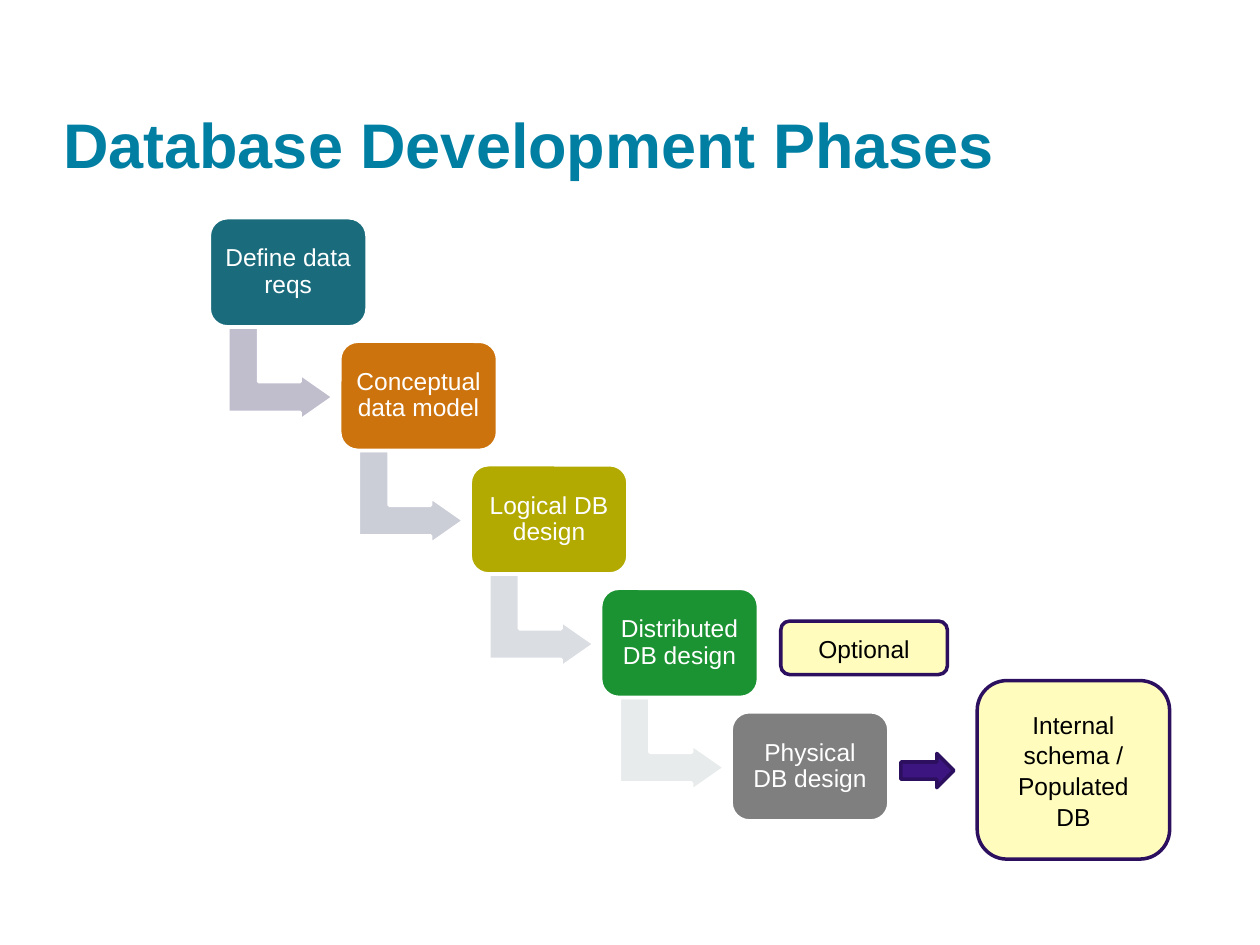
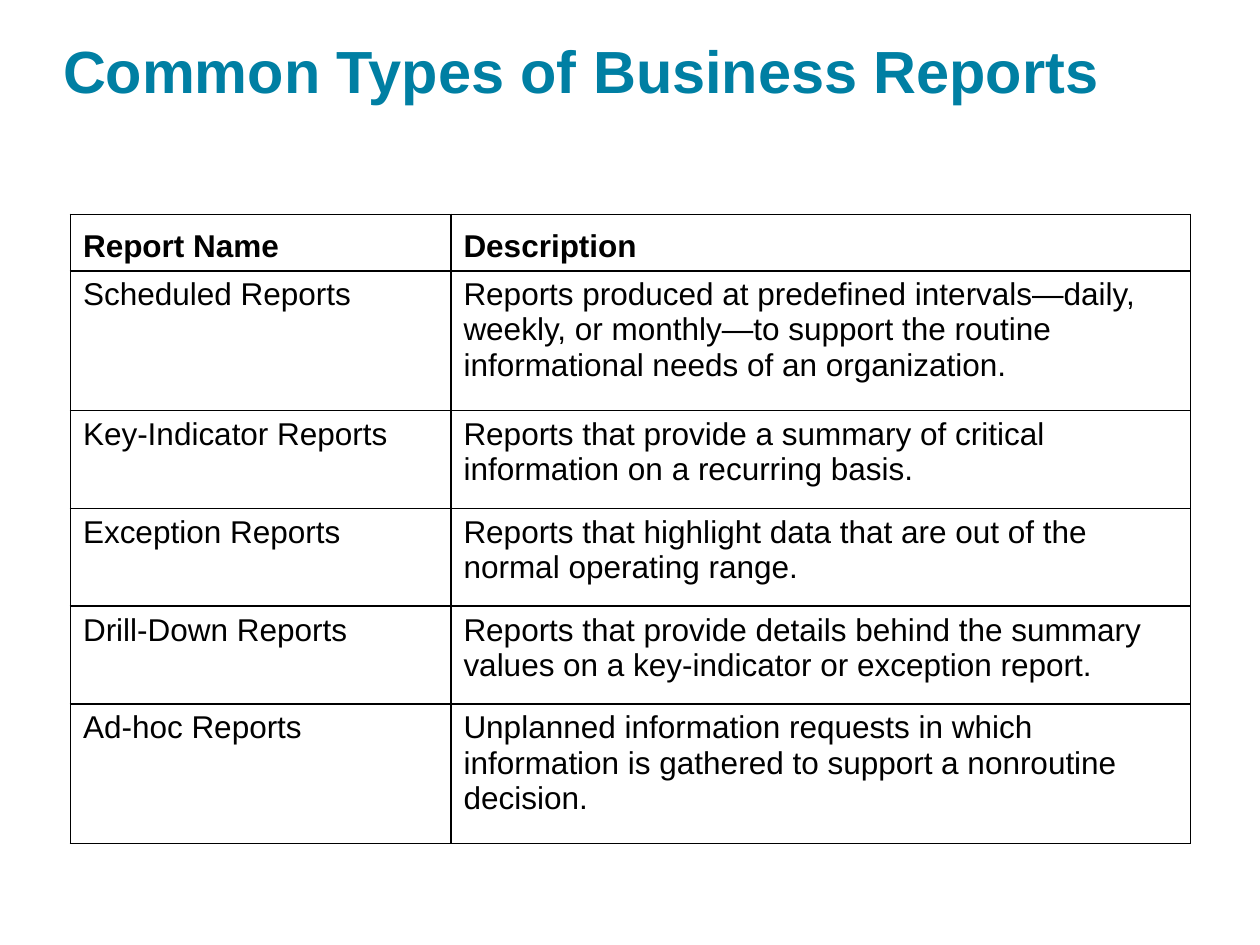
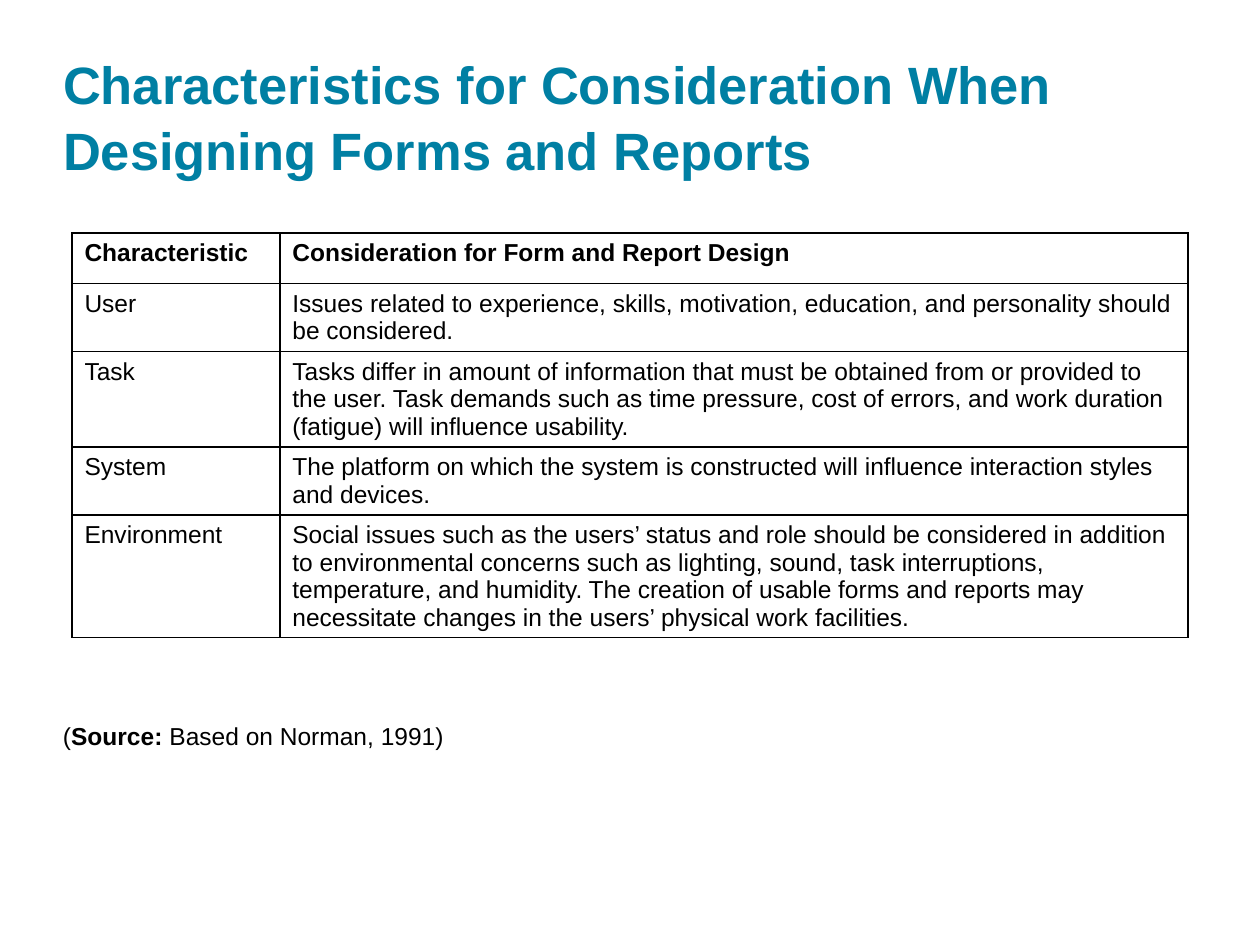
from dataclasses import dataclass

from lxml import etree
from pptx import Presentation
from pptx.dml.color import RGBColor
from pptx.enum.shapes import MSO_SHAPE
from pptx.enum.text import MSO_ANCHOR, PP_ALIGN
from pptx.oxml.ns import qn
from pptx.util import Cm, Pt

ROUNDED = MSO_SHAPE.ROUNDED_RECTANGLE
BENT_ARROW = MSO_SHAPE.BENT_UP_ARROW
RIGHT_ARROW = MSO_SHAPE.RIGHT_ARROW
TOP, MIDDLE, BOTTOM = MSO_ANCHOR.TOP, MSO_ANCHOR.MIDDLE, MSO_ANCHOR.BOTTOM
LEFT, CENTER = PP_ALIGN.LEFT, PP_ALIGN.CENTER


@dataclass(frozen=True)
class Theme:
    font: str = "Arial"
    title: str = "007FA3"
    text: str = "000000"
    white: str = "FFFFFF"
    note_fill: str = "FFFCBD"
    note_line: str = "2C105F"
    arrow: str = "3C1581"
    body_pt: int = 14
    report_pt: int = 18
    outline_pt: int = 2
    spacing: float = 1.05


THEME = Theme()

# Phase, box colour, colour of the arrow to the next phase
PHASES = [
    ("Define data reqs", "1A6C7C", "C0BDCD"),
    ("Conceptual data model", "CC730D", "CBCDD7"),
    ("Logical DB design", "B2AA00", "DADDE2"),
    ("Distributed DB design", "1B9332", "E8EBEC"),
    ("Physical DB design", "7F7F7F", None),
]

# Text, box in cm
NOTES = [
    ("Optional", (15.74, 12.52, 3.36, 1.08)),
    ("Internal schema / Populated DB", (19.7, 13.72, 3.88, 3.6)),
]

REPORTS = [
    ("Report Name", "Description"),
    ("Scheduled Reports",
     "Reports produced at predefined intervals—daily, weekly, or monthly—to support "
     "the routine informational needs of an organization."),
    ("Key-Indicator Reports",
     "Reports that provide a summary of critical information on a recurring basis."),
    ("Exception Reports",
     "Reports that highlight data that are out of the normal operating range."),
    ("Drill-Down Reports",
     "Reports that provide details behind the summary values on a key-indicator or "
     "exception report."),
    ("Ad-hoc Reports",
     "Unplanned information requests in which information is gathered to support a "
     "nonroutine decision."),
]

CHARACTERISTICS = [
    ("Characteristic", "Consideration for Form and Report Design"),
    ("User",
     "Issues related to experience, skills, motivation, education, and personality "
     "should be considered."),
    ("Task",
     "Tasks differ in amount of information that must be obtained from or provided to "
     "the user. Task demands such as time pressure, cost of errors, and work duration "
     "(fatigue) will influence usability."),
    ("System",
     "The platform on which the system is constructed will influence interaction "
     "styles and devices."),
    ("Environment",
     "Social issues such as the users’ status and role should be considered in "
     "addition to environmental concerns such as lighting, sound, task interruptions, "
     "temperature, and humidity. The creation of usable forms and reports may "
     "necessitate changes in the users’ physical work facilities."),
]

SOURCE = [("(", False), ("Source: ", True), ("Based on Norman, 1991)", False)]


def rgb(color):
    return RGBColor.from_string(color)


def write(tf, runs, size, color=THEME.text, align=LEFT, spacing=1.0):
    """Fill the first paragraph with (text, bold) runs."""
    tf.word_wrap = True
    p = tf.paragraphs[0]
    p.alignment = align
    p.line_spacing = spacing
    for text, bold in runs:
        r = p.add_run()
        r.text = text
        r.font.name = THEME.font
        r.font.size = Pt(size)
        r.font.bold = bold
        r.font.color.rgb = rgb(color)


def set_margins(tf, margin):
    tf.margin_left = tf.margin_top = tf.margin_right = tf.margin_bottom = margin


def add_titled_slide(prs, title, size, anchor=BOTTOM, width=22.86):
    slide = prs.slides.add_slide(prs.slide_layouts[5])
    sp = slide.shapes.title
    sp.left, sp.top, sp.width, sp.height = Cm(1.27), Cm(0.61), Cm(width), Cm(3.05)
    tf = sp.text_frame
    set_margins(tf, 0)
    tf.vertical_anchor = anchor
    write(tf, [(title, True)], size, THEME.title, spacing=THEME.spacing)
    return slide


def add_filled(slide, kind, box, fill, line):
    sp = slide.shapes.add_shape(kind, *(Cm(v) for v in box))
    sp.shadow.inherit = False
    sp.fill.solid()
    sp.fill.fore_color.rgb = rgb(fill)
    sp.line.color.rgb = rgb(line)
    sp.line.width = Pt(THEME.outline_pt)
    sp.text_frame.vertical_anchor = MIDDLE
    return sp


def add_borders(cell):
    tc_pr = cell._tc.get_or_add_tcPr()
    for side in ("lnL", "lnR", "lnT", "lnB"):
        ln = etree.SubElement(tc_pr, qn(f"a:{side}"), w=str(Pt(1)))
        fill = etree.SubElement(ln, qn("a:solidFill"))
        etree.SubElement(fill, qn("a:srgbClr"), val=THEME.text)


def add_grid_table(slide, rows, left, top, widths, heights, size, header_anchor):
    frame = slide.shapes.add_table(len(rows), len(widths), Cm(left), Cm(top),
                                   Cm(sum(widths)), Cm(sum(heights)))
    table = frame.table
    table.first_row = table.horz_banding = False
    for column, width in zip(table.columns, widths):
        column.width = Cm(width)
    for i, (texts, height) in enumerate(zip(rows, heights)):
        table.rows[i].height = Cm(height)
        for j, text in enumerate(texts):
            cell = table.cell(i, j)
            add_borders(cell)
            cell.fill.background()
            cell.vertical_anchor = header_anchor if i == 0 else TOP
            write(cell.text_frame, [(text, i == 0)], size)


def build_phases(prs):
    slide = add_titled_slide(prs, "Database Development Phases", 36)
    left, top, step_x, step_y = 4.22, 4.39, 2.63, 2.49
    for i, (phase, fill, arrow_fill) in enumerate(PHASES):
        x, y = left + i * step_x, top + i * step_y
        if arrow_fill:
            arrow = add_filled(slide, BENT_ARROW, (x + 0.5, y + 2.08, 1.88, 2.13),
                               arrow_fill, THEME.white)
            arrow.rotation = 90
            for k, value in enumerate((0.328, 0.25, 0.358)):
                arrow.adjustments[k] = value
        sp = add_filled(slide, ROUNDED, (x, y, 3.18, 2.2), fill, THEME.white)
        set_margins(sp.text_frame, Cm(0.16))
        write(sp.text_frame, [(phase, False)], THEME.body_pt, THEME.white, CENTER, 0.9)

    for text, box in NOTES:
        sp = add_filled(slide, ROUNDED, box, THEME.note_fill, THEME.note_line)
        write(sp.text_frame, [(text, False)], THEME.body_pt, align=CENTER,
              spacing=THEME.spacing)
    add_filled(slide, RIGHT_ARROW, (18.16, 15.19, 1.07, 0.69),
               THEME.arrow, THEME.note_line)


def build_reports(prs):
    slide = add_titled_slide(prs, "Common Types of Business Reports", 34, TOP, 23.52)
    two_lines, three_lines = 1.97, 2.82
    heights = [1.14, three_lines, two_lines, two_lines, two_lines, three_lines]
    add_grid_table(slide, REPORTS, 1.42, 4.32, [7.67, 14.91], heights,
                   THEME.report_pt, BOTTOM)


def build_characteristics(prs):
    slide = add_titled_slide(
        prs, "Characteristics for Consideration When Designing Forms and Reports",
        30, width=23.67)
    add_grid_table(slide, CHARACTERISTICS, 1.45, 4.7, [4.19, 18.31],
                   [1.02, 1.37, 1.92, 1.37, 2.47], THEME.body_pt, TOP)
    box = slide.shapes.add_textbox(Cm(1.27), Cm(14.5), Cm(22.86), Cm(0.97))
    set_margins(box.text_frame, 0)
    write(box.text_frame, SOURCE, THEME.body_pt, spacing=THEME.spacing)


def main():
    prs = Presentation()
    prs.slide_width, prs.slide_height = Cm(25.4), Cm(19.05)
    build_phases(prs)
    build_reports(prs)
    build_characteristics(prs)
    prs.save("out.pptx")


if __name__ == "__main__":
    main()
